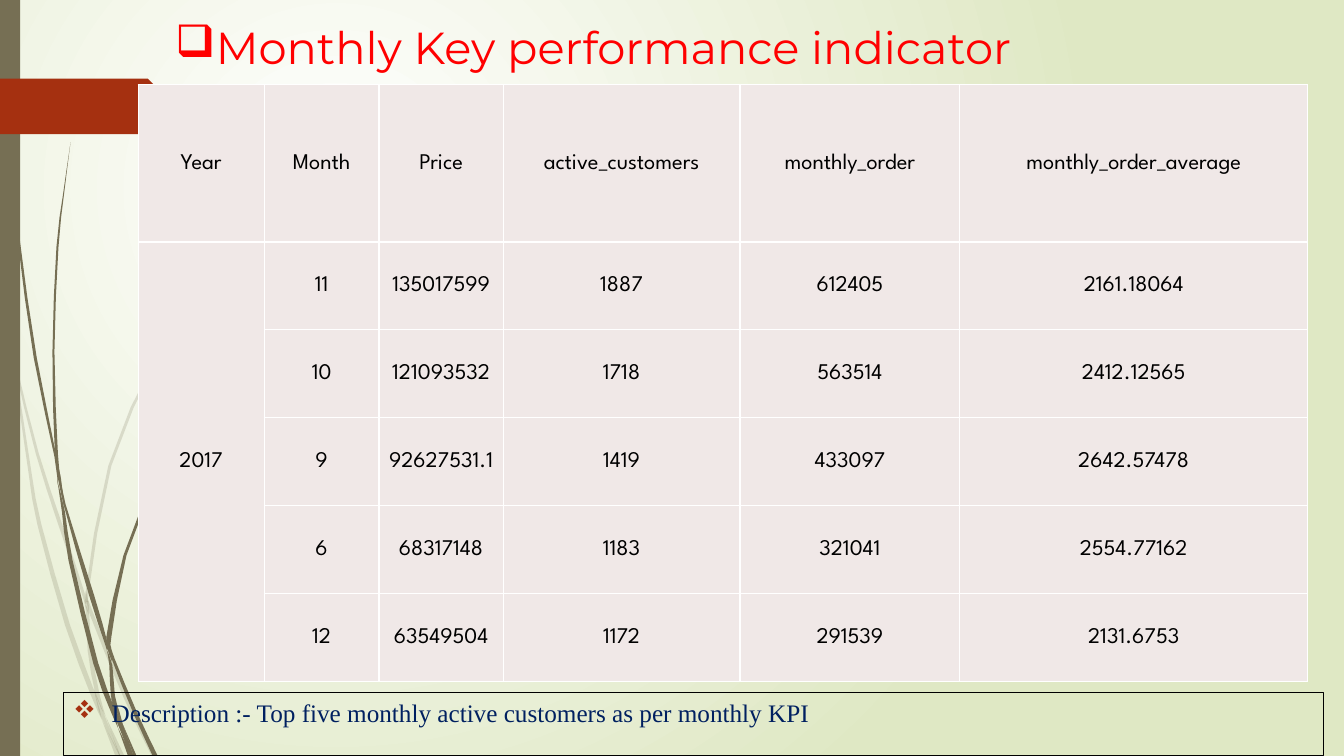
from lxml import etree
from pptx import Presentation
from pptx import util as u
from pptx.dml import color
from pptx.enum import shapes, text
from pptx.oxml import ns, parse_xml

OLIVE, RUST, WHITE, BLACK = "766F54", "A53010", "FFFFFF", "000000"
RED, NAVY, CELL_PINK, PALE_GREEN = "FF0000", "002060", "F0E8E7", "DFE8C4"

# Stem pieces as (centre x, y, width) from top to bottom
FAINT_STEMS = [
    [(0, 2.82, 0), (.04, 3.1, .05), (.09, 3.33, .03), (.11, 3.5, 0)],
    [(.14, 3.45, 0), (.16, 3.65, .02), (.37, 4.5, .03), (.6, 5.21, .04), (.83, 5.9, .03),
     (.84, 5.99, 0)],
    [(.88, 5.96, 0), (.9, 6.07, .04), (1.25, 6.93, .04), (1.53, 7.5, .05)],
    [(1.05, 7.11, 0), (1.21, 7.5, .05)],
    [(.11, 3.5, 0), (.16, 3.76, .02), (.3, 4.7, .03), (.39, 5.2, .04), (.67, 6.2, .05),
     (.92, 6.88, .05), (1.01, 7.14, 0)],
    [(.84, 5.99, 0), (.87, 6.1, .03), (.89, 6.46, .04), (.97, 6.9, .04), (1.05, 7.11, 0)],
    [(3.12, 1.53, 0), (2.68, 1.98, .01), (2.28, 2.45, .02), (1.59, 3.49, .03),
     (1.09, 4.62, .03), (.87, 5.84, .03), (.88, 5.96, 0)],
    [(1.01, 7.14, 0), (1.17, 7.5, .05)],
    [(.85, 5.86, 0), (.86, 5.98, .04), (.88, 6.1, 0)],
    [(.93, 6.83, 0), (.98, 6.99, .03), (1.03, 7.13, .04), (1.19, 7.5, .01)],
]
DARK_STEMS = [
    [(.03, 0, .01), (.05, .48, .01), (.07, 1.1, .01), (.18, 2.33, .02), (.35, 3.55, .03),
     (.55, 4.53, .02), (.57, 4.81, 0)],
    [(.6, 4.72, 0), (.64, 5, .02), (.91, 5.91, .05), (1.05, 6.37, .03), (1.06, 6.45, 0)],
    [(1.1, 6.41, 0), (1.12, 6.53, .03), (1.34, 7.07, .04), (1.54, 7.5, .05)],
    [(.57, 4.77, 0), (.63, 5.08, .03), (.7, 5.56, .04), (.95, 6.58, .05), (1.1, 7, .05),
     (1.17, 7.22, 0)],
    [(.7, 1.41, 0), (.63, 1.93, .01), (.57, 2.45, .02), (.53, 3.49, .02), (.56, 4.51, .03),
     (.6, 4.72, 0)],
    [(1.22, 7.19, 0), (1.34, 7.5, .03)],
    [(.55, 4.49, 0), (.59, 4.75, .03), (.64, 5.05, 0)],
    [(2.6, 3.44, 0), (2.31, 3.73, .01), (2.05, 4.06, .02), (1.57, 4.75, .03),
     (1.24, 5.51, .03), (1.08, 6.32, .05), (1.1, 6.41, 0)],
    [(1.17, 7.22, 0), (1.29, 7.5, .04)],
    [(1.06, 6.45, 0), (1.1, 6.6, .03), (1.12, 6.9, .04), (1.17, 7.06, .03), (1.22, 7.19, 0)],
    [(1.06, 6.31, 0), (1.08, 6.42, .04), (1.11, 6.56, 0)],
    [(1.1, 6.91, 0), (1.15, 7.08, .03), (1.2, 7.2, .05), (1.31, 7.5, .03)],
]

HEADINGS = ["Year", "Month", "Price", "active_customers", "monthly_order",
            "monthly_order_average"]
YEAR = "2017"
MONTHS = [
    ["11", "135017599", "1887", "612405", "2161.18064"],
    ["10", "121093532", "1718", "563514", "2412.12565"],
    ["9", "92627531.1", "1419", "433097", "2642.57478"],
    ["6", "68317148", "1183", "321041", "2554.77162"],
    ["12", "63549504", "1172", "291539", "2131.6753"],
]
COLUMN_WIDTHS = [1.25, 1.14, 1.23, 2.35, 2.18, 3.45]


def rgb(value):
    """Turn a hex string into a colour."""
    return color.RGBColor.from_string(value)


def paint(shape, fill=None, line=None):
    """Set fill and outline, and drop the shadow."""
    shape.shadow.inherit = False
    if fill:
        shape.fill.solid()
        shape.fill.fore_color.rgb = rgb(fill)
    else:
        shape.fill.background()
    if line:
        shape.line.color.rgb = rgb(line)
        shape.line.width = u.Pt(.75)
    else:
        shape.line.fill.background()


def write(frame, words, size, font, colour, align):
    """Put one formatted paragraph in a text frame."""
    frame.text = words
    paragraph = frame.paragraphs[0]
    paragraph.alignment = align
    style = paragraph.runs[0].font
    style.size, style.name, style.bold = u.Pt(size), font, False
    style.color.rgb = rgb(colour)
    return paragraph


def add_bullet(paragraph, mark, colour):
    """Give a paragraph a hanging Wingdings bullet."""
    props = paragraph._p.get_or_add_pPr()
    indent = u.Inches(.38)
    props.set("marL", str(indent))
    props.set("indent", str(-indent))
    tint = etree.SubElement(props, ns.qn("a:buClr"))
    etree.SubElement(tint, ns.qn("a:srgbClr"), val=colour)
    etree.SubElement(props, ns.qn("a:buFont"), typeface="Wingdings", charset="2")
    etree.SubElement(props, ns.qn("a:buChar"), char=mark)


def set_background(slide):
    """Fill the slide with a round white-to-green glow."""
    fill = slide.background.fill
    fill.gradient()
    for stop, position, tone in zip(fill.gradient_stops, (0, 1), (WHITE, PALE_GREEN)):
        stop.position = position
        stop.color.rgb = rgb(tone)
    linear = slide.background._cSld.find(".//" + ns.qn("a:lin"))
    glow = parse_xml(
        f'<a:path {ns.nsdecls("a")} path="circle"><a:fillToRect l="50000" t="50000" '
        'r="100000" b="100000"/></a:path>')
    linear.getparent().replace(linear, glow)


def smooth(knots, steps=2):
    """Run a Catmull-Rom curve through the knots."""
    padded = [knots[0], *knots, knots[-1]]
    curve = []
    for a, b, c, d in zip(padded, padded[1:], padded[2:], padded[3:]):
        for t in (step / steps for step in range(steps)):
            curve.append([
                .5 * (2 * q + (r - p) * t + (2 * p - 5 * q + 4 * r - s) * t ** 2
                      + (3 * q - p - 3 * r + s) * t ** 3)
                for p, q, r, s in zip(a, b, c, d)])
    return curve + [knots[-1]]


def add_stem(slide, knots, opacity):
    """Draw one tapering piece of a grass stem."""
    curve = smooth(knots)
    left = [(max(x - width / 2, 0), y) for x, y, width in curve]
    right = [(x + width / 2, y) for x, y, width in reversed(curve)]
    outline = [(u.Inches(x), u.Inches(y)) for x, y in left + right]
    builder = slide.shapes.build_freeform(*outline[0])
    builder.add_line_segments(outline[1:], close=True)
    stem = builder.convert_to_shape()
    paint(stem, OLIVE)
    if opacity < 100:
        tint = stem.fill._xPr.find(".//" + ns.qn("a:srgbClr"))
        etree.SubElement(tint, ns.qn("a:alpha"), val=str(opacity * 1000))


def add_decoration(slide, left, top, height):
    """Draw the stems, the side bar and the arrow tab at the left edge."""
    for stems, opacity in ((FAINT_STEMS, 20), (DARK_STEMS, 100)):
        for knots in stems:
            add_stem(slide, knots, opacity)
    bar = slide.shapes.add_shape(shapes.MSO_SHAPE.RECTANGLE, u.Inches(left),
                                 u.Inches(top), u.Inches(.2), u.Inches(height))
    paint(bar, OLIVE)
    tab = slide.shapes.add_shape(shapes.MSO_SHAPE.PENTAGON, u.Inches(left),
                                 u.Inches(top + .78), u.Inches(1.74), u.Inches(.55))
    paint(tab, RUST)


def place_title(slide, left, top, width, height):
    """Move and format the title."""
    title = slide.shapes.title
    title.left, title.top = u.Inches(left), u.Inches(top)
    title.width, title.height = u.Inches(width), u.Inches(height)
    title.text_frame.vertical_anchor = text.MSO_ANCHOR.TOP
    heading = write(title.text_frame, "Monthly Key performance indicator", 32,
                    "Montserrat", RED, text.PP_ALIGN.LEFT)
    add_bullet(heading, "q", RED)


def format_cell(cell, words):
    """Write a centred cell with white borders."""
    write(cell.text_frame, words, 16, "League Spartan", BLACK, text.PP_ALIGN.CENTER)
    cell.vertical_anchor = text.MSO_ANCHOR.MIDDLE
    cell.margin_left = cell.margin_right = cell.margin_top = u.Inches(.01)
    cell.margin_bottom = 0
    props = cell._tc.get_or_add_tcPr()
    for side in "LRTB":
        props.append(parse_xml(
            f'<a:ln{side} {ns.nsdecls("a")} w="{u.Pt(1)}"><a:solidFill>'
            f'<a:srgbClr val="{WHITE}"/></a:solidFill></a:ln{side}>'))
    cell.fill.solid()
    cell.fill.fore_color.rgb = rgb(CELL_PINK)


def add_kpi_table(slide, left, top, width, height):
    """Build the monthly table with one merged year cell."""
    rows = [HEADINGS] + [[YEAR if i == 0 else "", *month] for i, month in enumerate(MONTHS)]
    table = slide.shapes.add_table(len(rows), len(HEADINGS), u.Inches(left), u.Inches(top),
                                   u.Inches(width), u.Inches(height)).table
    table.first_row = table.horz_banding = False
    for column, column_width in zip(table.columns, COLUMN_WIDTHS):
        column.width = u.Inches(column_width)
    heading_height = 1.56
    month_height = (height - heading_height) / len(MONTHS)
    for i, row in enumerate(table.rows):
        row.height = u.Inches(month_height if i else heading_height)
    table.cell(1, 0).merge(table.cell(len(MONTHS), 0))
    for i, row in enumerate(rows):
        for j, words in enumerate(row):
            if words:
                format_cell(table.cell(i, j), words)


def add_description(slide, left, top, width, height):
    """Add the outlined description line."""
    box = slide.shapes.add_shape(shapes.MSO_SHAPE.RECTANGLE, u.Inches(left), u.Inches(top),
                                 u.Inches(width), u.Inches(height))
    paint(box, line=BLACK)
    box.text_frame.vertical_anchor = text.MSO_ANCHOR.TOP
    line = write(box.text_frame,
                 "Description :- Top five monthly active customers as per monthly KPI",
                 18, "Times New Roman", NAVY, text.PP_ALIGN.LEFT)
    add_bullet(line, "v", RUST)


def main():
    """Build the slide and save it."""
    deck = Presentation()
    deck.slide_width, deck.slide_height = u.Inches(13.33), u.Inches(7.5)
    slide = deck.slides.add_slide(deck.slide_layouts[5])
    set_background(slide)
    add_decoration(slide, 0, 0, 7.5)
    place_title(slide, 1.64, .15, 11.6, .63)
    add_description(slide, .63, 6.87, 12.5, .63)
    add_kpi_table(slide, 1.37, .84, 11.6, 5.92)
    deck.save("out.pptx")


main()
